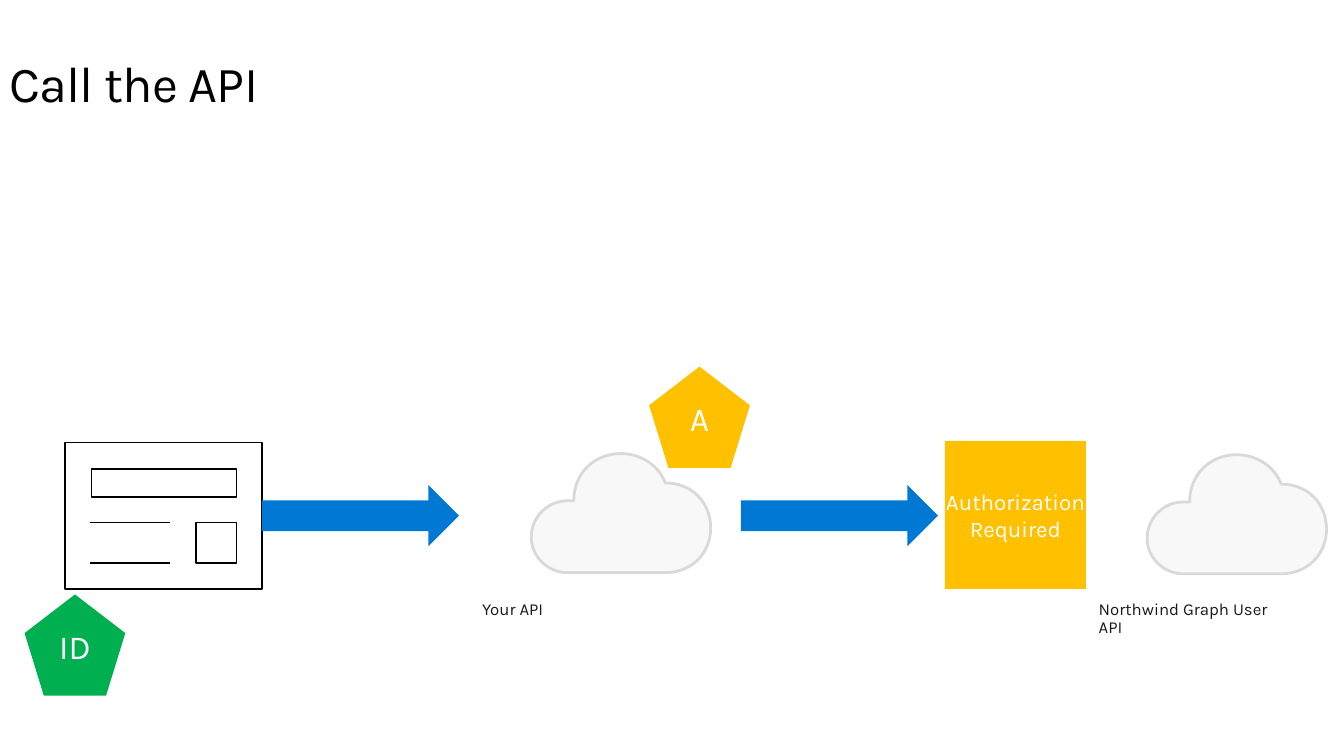
"""Build the "Call the API" slide: a client page, two clouds and the tokens between them."""
from lxml import etree
from pptx import Presentation
from pptx.dml.color import RGBColor
from pptx.enum.shapes import MSO_SHAPE
from pptx.enum.text import MSO_ANCHOR, PP_ALIGN
from pptx.oxml.ns import qn
from pptx.util import Cm, Pt

ARROW, PENTA, RECT = MSO_SHAPE.RIGHT_ARROW, MSO_SHAPE.REGULAR_PENTAGON, MSO_SHAPE.RECTANGLE
TOP, MIDDLE, BOTTOM = MSO_ANCHOR.TOP, MSO_ANCHOR.MIDDLE, MSO_ANCHOR.BOTTOM
LEFT, CENTER = PP_ALIGN.LEFT, PP_ALIGN.CENTER
UNITS = 1000
COLORS = {"black": "000000", "white": "FFFFFF", "ink": "1A1A1A", "blue": "0078D4",
          "green": "00B050", "amber": "FFC000", "cloud": "F8F8F8", "edge": "D9D9D9"}


def paint(shape, fill=None, line=None, width=0):
    """Set fill and outline, and drop the shadow."""
    shape.shadow.inherit = False
    for part, name in ((shape.fill, fill), (shape.line.fill, line)):
        if name:
            part.solid()
            part.fore_color.rgb = RGBColor.from_string(COLORS[name])
        else:
            part.background()
    if line:
        shape.line.width = Pt(width)


def write(shape, text, size, color, pad=(0, 0), anchor=TOP, align=LEFT, space=1.0):
    """Put one formatted paragraph into a shape and return its run."""
    frame = shape.text_frame
    across, down = map(Cm, pad)
    look = {"word_wrap": True, "vertical_anchor": anchor, "margin_left": across,
            "margin_right": across, "margin_top": down, "margin_bottom": down}
    for key, value in look.items():
        setattr(frame, key, value)
    para = frame.paragraphs[0]
    para.alignment, para.line_spacing = align, space
    run = para.add_run()
    run.text = text
    for key, value in {"name": "Karla", "size": Pt(size), "bold": False}.items():
        setattr(run.font, key, value)
    run.font.color.rgb = RGBColor.from_string(COLORS[color])
    return run


deck = Presentation()
deck.slide_width, deck.slide_height = Cm(33.87), Cm(19.05)
shapes = deck.slides.add_slide(deck.slide_layouts[6]).shapes
scale = Cm(1) / UNITS

title = shapes.add_textbox(Cm(0.23), Cm(1.3), Cm(30.61), Cm(1.55))
run = write(title, "Call the API", 36, "black", anchor=BOTTOM)
run.font._element.set("spc", "-50")

rules = [[(0.64, y), (2.65, y)] for y in (2.02, 3.03)]
boxes = [(3.31, 2.02, 4.33, 3.03), (0.68, 0.66, 4.33, 1.37), (0, 0, 4.98, 3.69)]
rings = [[(l, t), (r, t), (r, b), (l, b), (l, t)] for l, t, r, b in boxes]
page = shapes.build_freeform(0, 0, scale)
for trace in rules + rings:
    dots = [(x * UNITS, y * UNITS) for x, y in trace]
    page.move_to(*dots[0])
    page.add_line_segments(dots[1:], close=False)
paint(page.convert_to_shape(Cm(1.63), Cm(11.15)), line="black", width=1.25)

start = (1.07, 1.19)
curves = [
    ((1.07, 0.51), (1.57, 0), (2.26, 0)),
    ((2.74, 0), (3.2, 0.28), (3.38, 0.74)),
    ((4.04, 0.74), (4.52, 1.22), (4.52, 1.88)),
    ((4.52, 2.51), (4.04, 3), (3.38, 3)),
    ((0.91, 3), (0.91, 3), (0.91, 3)),
    ((0.41, 3), (0, 2.59), (0, 2.11)),
    ((0, 1.6), (0.41, 1.19), (0.91, 1.19)),
    ((0.94, 1.19), (1.02, 1.19), start),
]
rim = [(x * UNITS, y * UNITS) for curve in curves for x, y in curve]

clouds = [(13.39, 11.43, "Your API", 11.64, 14.91, 2.8),
          (28.91, 11.46, "Northwind Graph User API", 27.18, 14.74, 5.77)]
for left, top, name, x, y, wide in clouds:
    draft = shapes.build_freeform(*rim[-1], scale)
    draft.add_line_segments(rim, close=True)
    cloud = draft.convert_to_shape(Cm(left), Cm(top))
    legs = list(cloud._element.iter(qn("a:lnTo")))
    for first in range(0, len(legs), 3):
        bend = etree.Element(qn("a:cubicBezTo"))
        legs[first].addprevious(bend)
        for leg in legs[first:first + 3]:
            bend.append(leg[0])
            leg.getparent().remove(leg)
    paint(cloud, "cloud", "edge", 2)
    label = shapes.add_textbox(Cm(x), Cm(y), Cm(wide), Cm(1.27))
    write(label, name, 12, "ink", pad=(0.51, 0.41), space=0.9)

for left in (6.6, 18.67):
    paint(shapes.add_shape(ARROW, Cm(left), Cm(12.22), Cm(4.97), Cm(1.55)), "blue")

gate = shapes.add_shape(RECT, Cm(23.81), Cm(11.11), Cm(3.56), Cm(3.73))
paint(gate, "amber")
write(gate, "Authorization Required", 16, "white", (0, 0.13), MIDDLE, CENTER)

for left, top, name, color in ((0.62, 14.98, "ID", "green"), (16.36, 9.24, "A", "amber")):
    token = shapes.add_shape(PENTA, Cm(left), Cm(top), Cm(2.54), Cm(2.55))
    paint(token, color)
    write(token, name, 24, "white", (0.36, 0.3), TOP, CENTER, 0.9)

deck.save("out.pptx")
